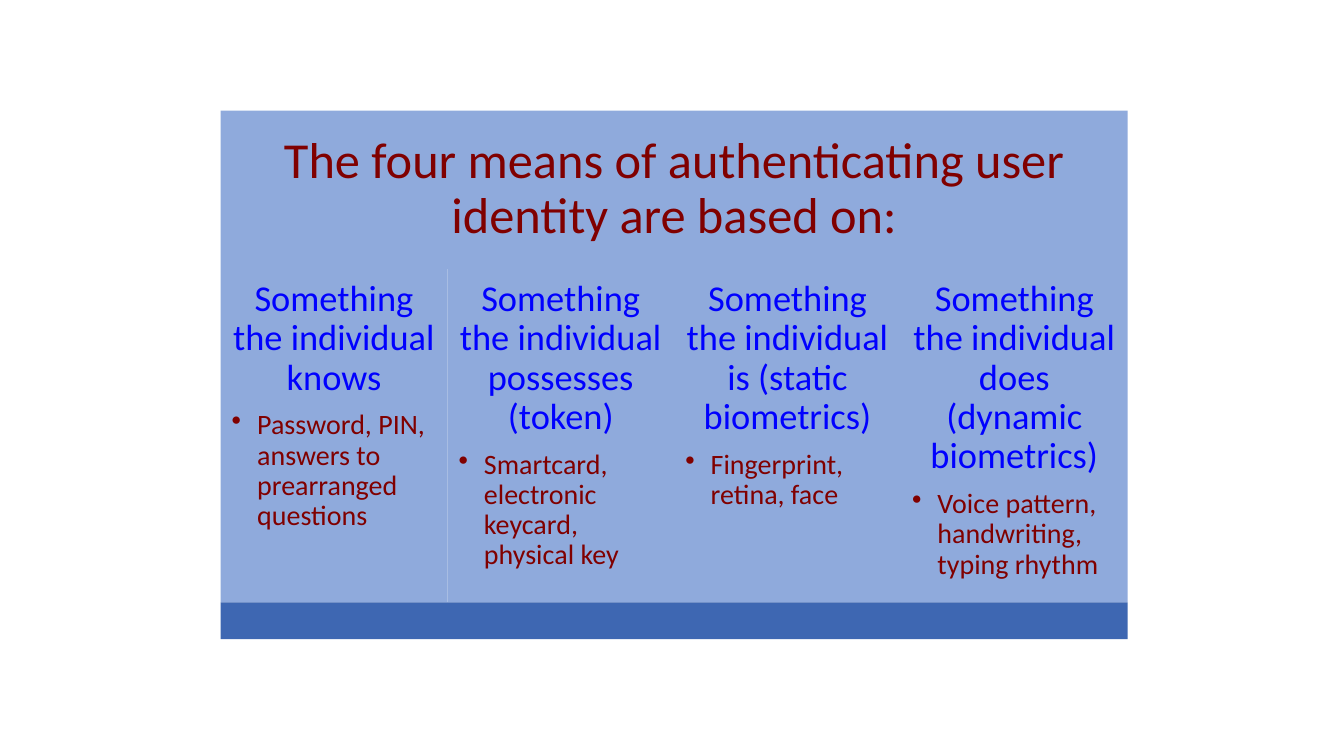
"""Build a slide on the four means of authenticating user identity."""
from dataclasses import dataclass

from lxml import etree
from pptx import Presentation
from pptx.dml.color import RGBColor
from pptx.enum.shapes import MSO_SHAPE
from pptx.enum.text import MSO_ANCHOR, PP_ALIGN
from pptx.oxml.ns import qn
from pptx.util import Cm, Pt

RECTANGLE = MSO_SHAPE.RECTANGLE
TOP, MIDDLE = MSO_ANCHOR.TOP, MSO_ANCHOR.MIDDLE
LEFT_ALIGNED, CENTERED = PP_ALIGN.LEFT, PP_ALIGN.CENTER

COLORS = {"panel": "8FAADC", "base": "3E67B2", "maroon": "800000", "blue": "0000FF"}
FONT = "Calibri"
LEFT, WIDTH = 5.56, 22.86
HEADER_TOP, HEADER_HEIGHT = 2.79, 3.99
COLUMN_TOP, COLUMN_HEIGHT = HEADER_TOP + HEADER_HEIGHT, 8.4
BASE_TOP, BASE_HEIGHT = COLUMN_TOP + COLUMN_HEIGHT, 0.93
BULLET_INDENT = 0.64


@dataclass
class Means:
    heading: str
    examples: str


MEANS = [
    Means("Something the individual knows",
          "Password, PIN, answers to prearranged questions"),
    Means("Something the individual possesses (token)",
          "Smartcard, electronic keycard, physical key"),
    Means("Something the individual is (static biometrics)",
          "Fingerprint, retina, face"),
    Means("Something the individual does (dynamic biometrics)",
          "Voice pattern, handwriting, typing rhythm"),
]


def add_panel(page, left: float, top: float, width: float, height: float,
              color: str, inset: float = 0.28, anchor=TOP):
    panel = page.shapes.add_shape(RECTANGLE, Cm(left), Cm(top), Cm(width), Cm(height))
    panel.shadow.inherit = False
    panel.fill.solid()
    panel.fill.fore_color.rgb = RGBColor.from_string(COLORS[color])
    panel.line.fill.background()
    frame = panel.text_frame
    frame.word_wrap = True
    frame.vertical_anchor = anchor
    frame.margin_left = frame.margin_right = Cm(inset)
    frame.margin_top = frame.margin_bottom = Cm(inset)
    return frame


def write(para, text: str, size: float, color: str, align=CENTERED) -> None:
    para.text = text
    para.alignment = align
    para.line_spacing = 0.9
    para.font.name = FONT
    para.font.size = Pt(size)
    para.font.color.rgb = RGBColor.from_string(COLORS[color])


def add_bullet(para) -> None:
    para.level = 1
    properties = para._p.get_or_add_pPr()
    properties.set("marL", str(Cm(BULLET_INDENT)))
    properties.set("indent", str(-Cm(BULLET_INDENT)))
    etree.SubElement(properties, qn("a:buChar")).set("char", "•")


def add_column(page, left: float, width: float, means: Means) -> None:
    frame = add_panel(page, left, COLUMN_TOP, width, COLUMN_HEIGHT, "panel")
    heading = frame.paragraphs[0]
    write(heading, means.heading, 26, "blue")
    heading.space_after = Pt(9.1)
    examples = frame.add_paragraph()
    add_bullet(examples)
    write(examples, means.examples, 20, "maroon", LEFT_ALIGNED)


def main() -> None:
    deck = Presentation()
    deck.slide_width, deck.slide_height = Cm(33.87), Cm(19.05)
    page = deck.slides.add_slide(deck.slide_layouts[6])
    header = add_panel(page, LEFT, HEADER_TOP, WIDTH, HEADER_HEIGHT, "panel", 0.38, MIDDLE)
    write(header.paragraphs[0],
          "The four means of authenticating user identity are based on:", 36, "maroon")
    column_width = WIDTH / len(MEANS)
    for index, means in enumerate(MEANS):
        add_column(page, LEFT + index * column_width, column_width, means)
    add_panel(page, LEFT, BASE_TOP, WIDTH, BASE_HEIGHT, "base")
    deck.save("out.pptx")


if __name__ == "__main__":
    main()
